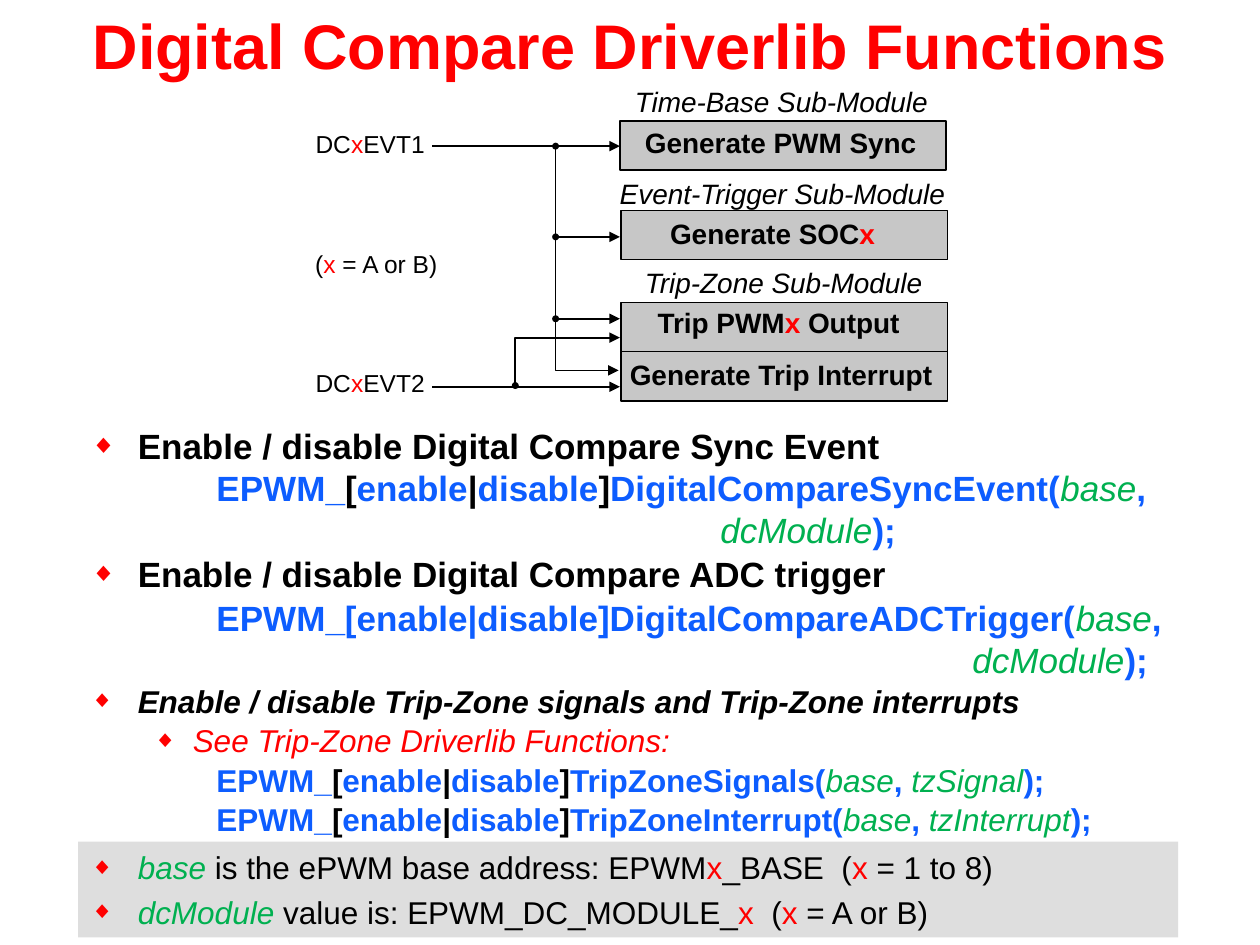
import lxml.etree
import pptx
import pptx.dml.color
import pptx.enum.shapes
import pptx.enum.text
import pptx.oxml
import pptx.oxml.ns
import pptx.util

COLORS = {"red": "FF0000", "black": "000000", "blue": "0D5DFF", "green": "00B050",
          "block": "C7C7C7", "note": "DEDEDE"}
STYLES = {
    "plain": ("black", False, False),
    "bold": ("black", True, False),
    "italic": ("black", False, True),
    "strong": ("black", True, True),
    "x": ("red", False, False),
    "xbold": ("red", True, False),
    "see": ("red", False, True),
    "code": ("blue", True, False),
    "argument": ("green", False, True),
}
ALIGN = pptx.enum.text.PP_ALIGN
ANCHOR = pptx.enum.text.MSO_ANCHOR
RGB = pptx.dml.color.RGBColor.from_string

presentation = pptx.Presentation()
presentation.slide_width = pptx.util.Inches(10)
presentation.slide_height = pptx.util.Inches(7.5)
slide = presentation.slides.add_slide(presentation.slide_layouts[6])
COLUMN = presentation.slide_width / 100
ROW = presentation.slide_height / 75


def write(paragraph, runs, size, bullet=None, hang=None, **formats):
    properties = paragraph._p.get_or_add_pPr()
    margin, indent = bullet or hang or (0, 0)
    properties.set("marL", str(int(margin * COLUMN)))
    properties.set("indent", str(int(indent * COLUMN)))
    if bullet:
        for tag, child, value in (("buClr", "srgbClr", COLORS["red"]), ("buSzPct", None, "75000"),
                                  ("buFont", None, "Arial"), ("buChar", None, "◆")):
            element = lxml.etree.SubElement(properties, pptx.oxml.ns.qn("a:" + tag))
            if child:
                element = lxml.etree.SubElement(element, pptx.oxml.ns.qn("a:" + child))
            key = {"buFont": "typeface", "buChar": "char"}.get(tag, "val")
            element.set(key, value)
    for name, value in formats.items():
        setattr(paragraph, name, value)
    for style, text in runs:
        run = paragraph.add_run()
        run.text = text
        color, bold, italic = STYLES[style]
        values = {"name": "Arial", "size": pptx.util.Pt(size), "bold": bold, "italic": italic}
        for name, value in values.items():
            setattr(run.font, name, value)
        run.font.color.rgb = RGB(COLORS[color])


def add_text(left, top, width, height, wrap=True, anchor=ANCHOR.TOP):
    box = slide.shapes.add_textbox(int(left * COLUMN), int(top * ROW),
                                   int(width * COLUMN), int(height * ROW))
    box.text_frame.word_wrap = wrap
    box.text_frame.vertical_anchor = anchor
    return box


title = add_text(0, 0, 100, 7, anchor=ANCHOR.MIDDLE)
write(title.text_frame.paragraphs[0], [("xbold", "Digital Compare Driverlib Functions")], 36,
      alignment=ALIGN.CENTER)

switch = [("code", "EPWM_"), ("bold", "["), ("code", "enable"), ("bold", "|"),
          ("code", "disable"), ("bold", "]")]
bullet = (3.75, -3.75)
body_lines = [
    ([("bold", "Enable / disable Digital Compare Sync Event")], 20, {"bullet": bullet}),
    (switch + [("code", "DigitalCompareSyncEvent("), ("argument", "base"), ("code", ", "),
               ("argument", "dcModule"), ("code", ");")], 20, {"hang": (50, -40)}),
    ([("bold", "Enable / disable Digital Compare ADC trigger")], 20, {"bullet": bullet}),
    ([("code", "EPWM_[enable|disable]DigitalCompareADCTrigger("), ("argument", "base"),
      ("code", ", "), ("argument", "dcModule"), ("code", ");")], 20, {"hang": (70, -60)}),
    ([("strong", "Enable / disable Trip-Zone signals and Trip-Zone interrupts")], 18,
     {"bullet": bullet}),
    ([("see", "See Trip-Zone Driverlib Functions:")], 18, {"bullet": (8.12, -3.12), "level": 1}),
]
for function, argument in (("TripZoneSignals(", "tzSignal"), ("TripZoneInterrupt(", "tzInterrupt")):
    body_lines.append((switch + [("code", function), ("argument", "base"), ("code", ", "),
                                 ("argument", argument), ("code", ");")], 18, {"hang": (10, 0)}))

body = add_text(6.2, 33.2, 87.3, 33.9).text_frame
for index, (runs, size, formats) in enumerate(body_lines):
    paragraph = body.add_paragraph() if index else body.paragraphs[0]
    write(paragraph, runs, size, line_spacing=1.0,
          space_after=pptx.util.Pt(1 if index else 0), **formats)

note = add_text(6.2, 66.8, 87.3, 7.6, anchor=ANCHOR.MIDDLE)
note.fill.solid()
note.fill.fore_color.rgb = RGB(COLORS["note"])
note_lines = [
    [("argument", "base"), ("plain", " is the ePWM base address: EPWM"), ("x", "x"),
     ("plain", "_BASE  ("), ("x", "x"), ("plain", " = 1 to 8)")],
    [("argument", "dcModule"), ("plain", " value is: EPWM_DC_MODULE_"), ("x", "x"),
     ("plain", "  ("), ("x", "x"), ("plain", " = A or B)")],
]
for index, runs in enumerate(note_lines):
    paragraph = note.text_frame.add_paragraph() if index else note.text_frame.paragraphs[0]
    write(paragraph, runs, 18, bullet=bullet, level=index + 1, line_spacing=1.0,
          space_before=pptx.util.Pt(4 * index))

for left, top in ((49.2, 9.6), (49.3, 16.7), (49.3, 24), (49.3, 27.9)):
    block = slide.shapes.add_shape(pptx.enum.shapes.MSO_SHAPE.RECTANGLE, int(left * COLUMN),
                                   int(top * ROW), int(25.9 * COLUMN), int(3.9 * ROW))
    block.shadow.inherit = False
    block.fill.solid()
    block.fill.fore_color.rgb = RGB(COLORS["block"])
    block.line.color.rgb = RGB(COLORS["black"])
    block.line.width = pptx.util.Pt(1)

labels = [
    (50.2, 10, 23.6, 16, [("bold", "Generate PWM Sync")]),
    (49.4, 6.7, 25.3, 16, [("italic", "Time-Base Sub-Module")]),
    (52.2, 17.2, 18.7, 16, [("bold", "Generate SOC"), ("xbold", "x")]),
    (48.2, 14, 28.1, 16, [("italic", "Event-Trigger Sub-Module")]),
    (51.2, 24.3, 21.8, 16, [("bold", "Trip PWM"), ("xbold", "x"), ("bold", " Output")]),
    (49, 28.4, 26.2, 16, [("bold", "Generate Trip Interrupt")]),
    (50.2, 21.1, 24.2, 16, [("italic", "Trip-Zone Sub-Module")]),
    (23.6, 10.2, 11.1, 14, [("plain", "DC"), ("x", "x"), ("plain", "EVT1")]),
    (23.6, 29.2, 11.1, 14, [("plain", "DC"), ("x", "x"), ("plain", "EVT2")]),
    (23.6, 19.7, 12.1, 14, [("plain", "("), ("x", "x "), ("plain", "= A or B)")]),
]
for left, top, width, size, runs in labels:
    label = add_text(left, top, width, 3.1 if size == 16 else 2.9, wrap=False)
    write(label.text_frame.paragraphs[0], runs, size, line_spacing=0.8,
          alignment=ALIGN.LEFT if size == 16 else ALIGN.RIGHT)

wires = [
    ([(44.1, 11.6), (44.1, 29.4), (49.1, 29.4)], "oval"),
    ([(44.1, 18.8), (49.2, 18.8)], "oval"),
    ([(44.1, 25.3), (49.2, 25.3)], "oval"),
    ([(40.9, 30.6), (40.9, 26.8), (49.2, 26.8)], "oval"),
    ([(34.3, 11.6), (49.2, 11.6)], "none"),
    ([(34.3, 30.7), (49.2, 30.7)], "none"),
]
for points, start in wires:
    points = [(int(x * COLUMN), int(y * ROW)) for x, y in points]
    if len(points) == 2:
        wire = slide.shapes.add_connector(pptx.enum.shapes.MSO_CONNECTOR.STRAIGHT,
                                          *points[0], *points[1])
    else:
        builder = slide.shapes.build_freeform(*points[0])
        builder.add_line_segments(points[1:], close=False)
        wire = builder.convert_to_shape()
        wire.fill.background()
    wire.line.color.rgb = RGB(COLORS["black"])
    wire.line.width = pptx.util.Pt(1)
    outline = wire.line._get_or_add_ln()
    for tag, kind, size in (("headEnd", start, "sm"), ("tailEnd", "triangle", "med")):
        end = lxml.etree.SubElement(outline, pptx.oxml.ns.qn("a:" + tag))
        for name, value in {"type": kind, "w": size, "len": size}.items():
            end.set(name, value)
    lxml.etree.SubElement(wire._element.spPr, pptx.oxml.ns.qn("a:effectLst"))

presentation.save("out.pptx")
